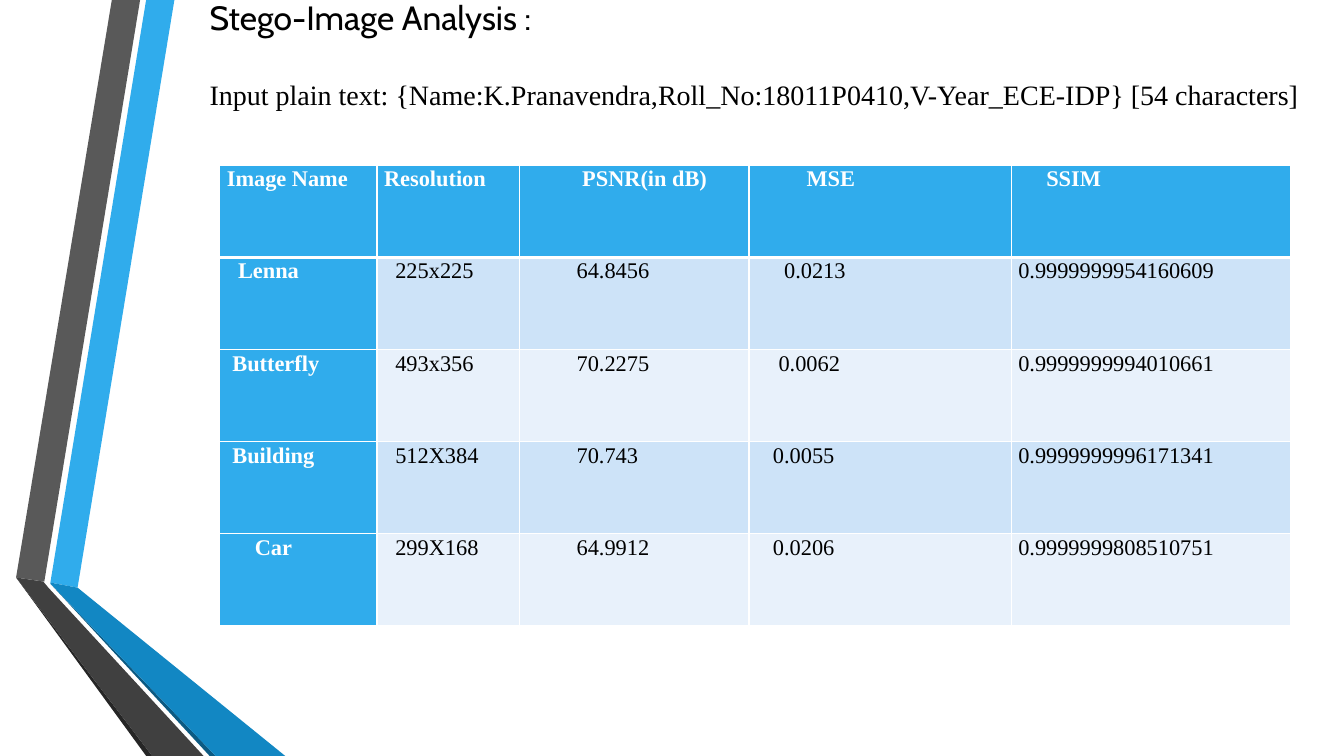
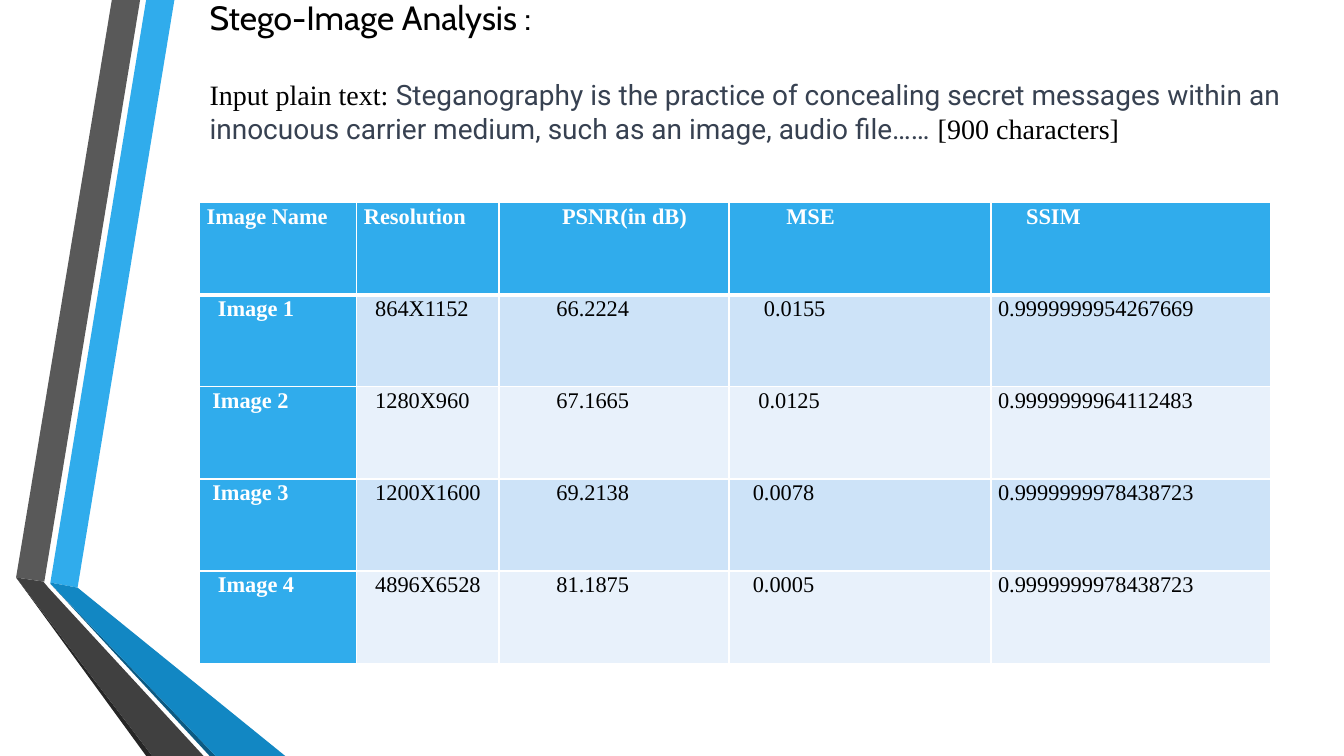
"""Two result slides of a stego-image analysis."""
from lxml.etree import SubElement
from pptx import Presentation
from pptx.dml.color import RGBColor
from pptx.enum.text import MSO_AUTO_SIZE
from pptx.oxml.ns import qn
from pptx.util import Inches, Pt

BLUE = RGBColor(0x30, 0xAC, 0xEC)
MID_BLUE = RGBColor(0x12, 0x87, 0xC3)
DARK_BLUE = RGBColor(0x0C, 0x5A, 0x82)
GREY = RGBColor(0x59, 0x59, 0x59)
DARK_GREY = RGBColor(0x40, 0x40, 0x40)
DEEP_GREY = RGBColor(0x26, 0x26, 0x26)
SLATE = RGBColor(0x37, 0x41, 0x51)
PALE = RGBColor(0xCD, 0xE3, 0xF8)
PALER = RGBColor(0xE8, 0xF1, 0xFB)
WHITE = RGBColor(0xFF, 0xFF, 0xFF)
BLACK = RGBColor(0, 0, 0)

TITLE_FONT, SERIF, SANS = "Cabin", "Times New Roman", "Roboto"
TITLE = "Stego-Image Analysis :"

RIBBONS = [
    (BLUE, [(0.5, 5.78), (0.77, 5.83), (1.73, 0), (1.45, 0)]),
    (GREY, [(1.39, 0), (1.11, 0), (0.16, 5.73), (0.44, 5.77)]),
    (DEEP_GREY, [(0.16, 5.73), (1.45, 7.5), (1.51, 7.5)]),
    (DARK_BLUE, [(0.5, 5.79), (2.08, 7.5), (2.14, 7.5)]),
    (MID_BLUE, [(0.5, 5.79), (2.14, 7.5), (2.83, 7.5), (0.77, 5.83), (0.5, 5.78)]),
    (DARK_GREY, [(2.02, 7.5), (0.48, 5.83), (0.43, 5.77), (0.16, 5.73), (1.51, 7.5)]),
]

COLUMN_WIDTHS = [1.56, 1.41, 2.28, 2.6, 2.77]
HEADER = ["Image Name", "Resolution", "PSNR(in dB)", "MSE", "SSIM"]
HEADER_INDENTS = [0, 0, 10, 9, 5]
MSE_INDENTS = [5, 4, 3, 3]
INDENT_STEP = Pt(4)

SAMPLE_ROWS = [
    ["Lenna", "225x225", "64.8456", "0.0213", "0.9999999954160609"],
    ["Butterfly", "493x356", "70.2275", "0.0062", "0.9999999994010661"],
    ["Building", "512X384", "70.743", "0.0055", "0.9999999996171341"],
    ["Car", "299X168", "64.9912", "0.0206", "0.9999999808510751"],
]
LARGE_ROWS = [
    ["Image 1", "864X1152", "66.2224", "0.0155", "0.9999999954267669"],
    ["Image 2", "1280X960", "67.1665", "0.0125", "0.9999999964112483"],
    ["Image 3", "1200X1600", "69.2138", "0.0078", "0.9999999978438723"],
    ["Image 4", "4896X6528", "81.1875", "0.0005", "0.9999999978438723"],
]


def style_run(r, font, size, color, bold=False):
    """Set the character format of a run."""
    r.font.name, r.font.size, r.font.bold = font, Pt(size), bold
    r.font.color.rgb = color


def add_ribbons(slide):
    """Draw the folded ribbons down the left edge."""
    for color, points in RIBBONS:
        start, *rest = [(Inches(x), Inches(y)) for x, y in points]
        builder = slide.shapes.build_freeform(*start)
        builder.add_line_segments(rest, close=True)
        sp = builder.convert_to_shape()
        sp.shadow.inherit = False
        sp.fill.solid()
        sp.fill.fore_color.rgb = color
        sp.line.fill.background()


def add_heading(slide, left, top, width, height, parts):
    """Place the title and the input text, given as (text, font, colour) parts."""
    sp = slide.shapes.add_textbox(Inches(left), Inches(top), Inches(width), Inches(height))
    tf = sp.text_frame
    tf.word_wrap = True
    tf.auto_size = MSO_AUTO_SIZE.SHAPE_TO_FIT_TEXT
    tf.text = TITLE
    style_run(tf.paragraphs[0].runs[0], TITLE_FONT, 24, BLACK)
    p = tf.add_paragraph()
    p.space_before = Pt(29)
    for text, font, color in parts:
        r = p.add_run()
        r.text = text
        style_run(r, font, 20, color)


def set_borders(cell, top, bottom):
    """Give a cell white borders, 1 pt at the sides."""
    tc_pr = cell._tc.get_or_add_tcPr()
    for tag, width in (("lnL", 1), ("lnR", 1), ("lnT", top), ("lnB", bottom)):
        ln = SubElement(tc_pr, qn(f"a:{tag}"), w=str(Pt(width)))
        fill = SubElement(ln, qn("a:solidFill"))
        SubElement(fill, qn("a:srgbClr"), val=str(WHITE))


def fill_cell(cell, text, indent, fill, color, bold):
    """Write and format one table cell."""
    cell.margin_left = Inches(0.07) + indent * INDENT_STEP
    cell.margin_right = Inches(0.07)
    cell.margin_top = cell.margin_bottom = 0
    cell.fill.solid()
    cell.fill.fore_color.rgb = fill
    p = cell.text_frame.paragraphs[0]
    p.text = text
    p.line_spacing, p.space_after = 1.06, Pt(8)
    style_run(p.runs[0], SERIF, 16, color, bold)


def add_results(slide, left, top, rows, name_indents):
    """Build the table of quality measures."""
    data = [HEADER] + rows
    indents = [HEADER_INDENTS] + [[n, 2, 9, m, 0] for n, m in zip(name_indents, MSE_INDENTS)]
    table = slide.shapes.add_table(len(data), len(HEADER), Inches(left), Inches(top),
                                   Inches(sum(COLUMN_WIDTHS)), Inches(4.57)).table
    table.first_col = True
    for column, width in zip(table.columns, COLUMN_WIDTHS):
        column.width = Inches(width)
    for i, row in enumerate(data):
        for j, text in enumerate(row):
            cell = table.cell(i, j)
            set_borders(cell, 3 if i == 1 else 1, 3 if i == 0 else 1)
            label = i == 0 or j == 0
            fill = BLUE if label else PALE if i % 2 else PALER
            fill_cell(cell, text, indents[i][j], fill, WHITE if label else BLACK, label)


def add_analysis_slide(prs, parts, heading_height, table_at, rows, name_indents):
    """Add one analysis slide."""
    slide = prs.slides.add_slide(prs.slide_layouts[6])
    add_ribbons(slide)
    add_results(slide, *table_at, rows, name_indents)
    add_heading(slide, 1.98, -0.08, 11.03, heading_height, parts)


def main():
    """Build and save the presentation."""
    prs = Presentation()
    prs.slide_width, prs.slide_height = Inches(13.33), Inches(7.5)
    add_analysis_slide(
        prs,
        [("Input plain text: {Name:K.Pranavendra,Roll_No:18011P0410,V-Year_ECE-IDP} "
          "[54 characters]", SERIF, BLACK)],
        1.25, (2.18, 1.64), SAMPLE_ROWS, [2, 1, 1, 5])
    add_analysis_slide(
        prs,
        [("Input plain text: ", SERIF, BLACK),
         ("Steganography is the practice of concealing secret messages within an "
          "innocuous carrier medium, such as an image, audio file…… ", SANS, SLATE),
         ("[900 characters]", SERIF, BLACK)],
        1.58, (1.98, 2.01), LARGE_ROWS, [2, 1, 1, 2])
    prs.save("out.pptx")


if __name__ == "__main__":
    main()
